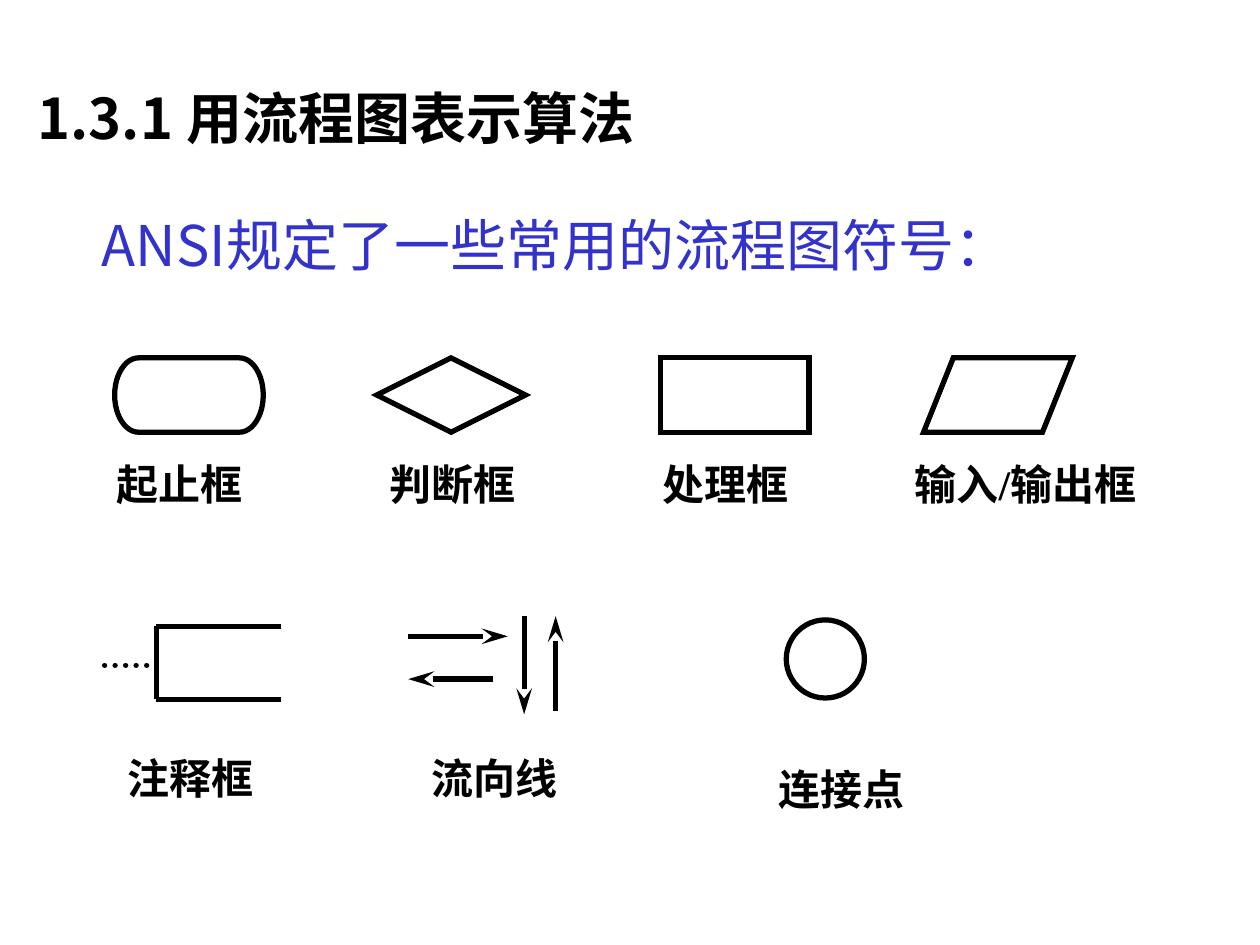
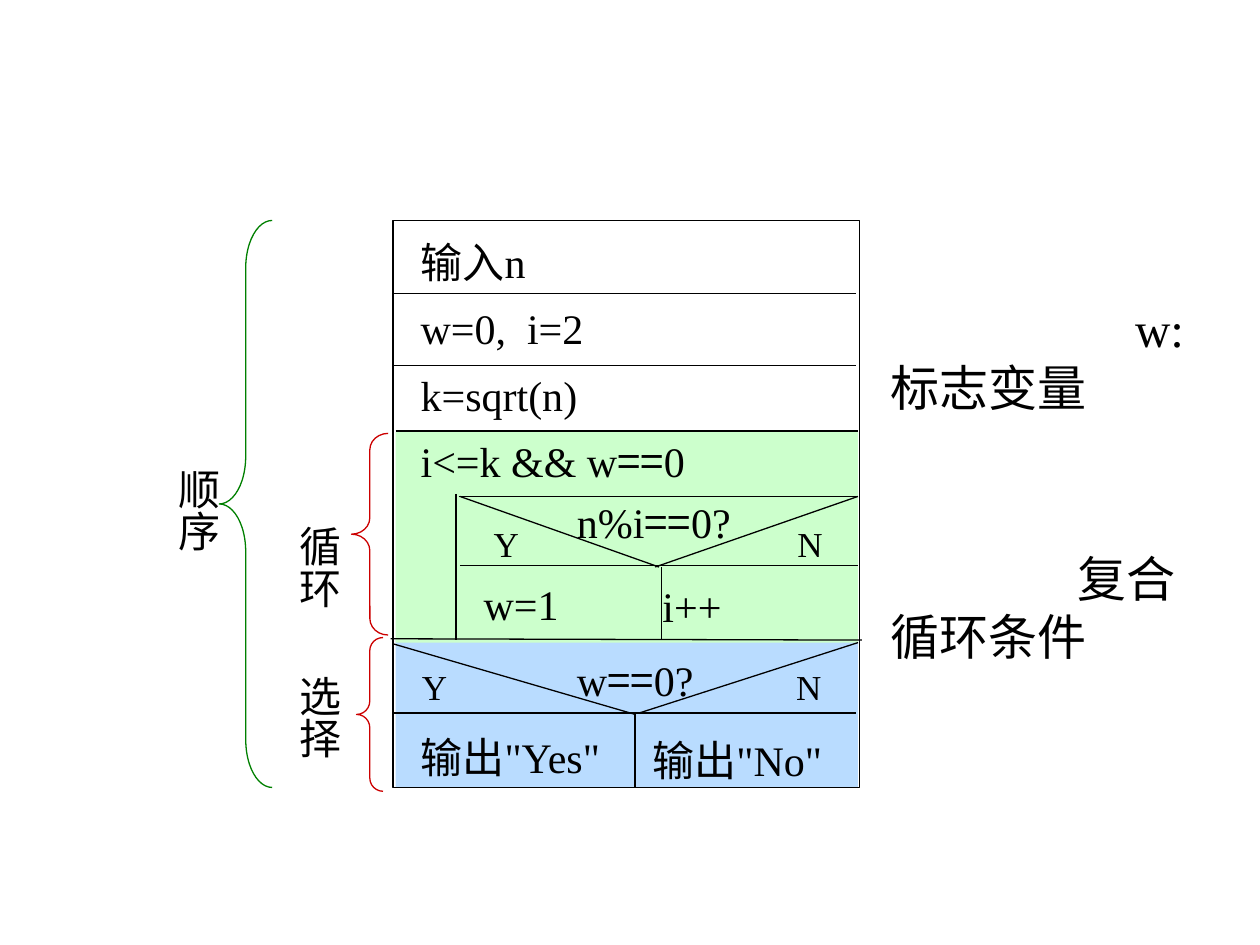
from lxml import etree
from pptx import Presentation
from pptx.dml.color import RGBColor
from pptx.enum.dml import MSO_LINE_DASH_STYLE as Dash
from pptx.enum.shapes import MSO_CONNECTOR as Link, MSO_SHAPE as Form
from pptx.enum.text import PP_ALIGN as Align
from pptx.oxml.ns import qn
from pptx.util import Inches, Pt

BLACK = RGBColor(0, 0, 0)
INDIGO = RGBColor(0x33, 0x33, 0xCC)
BLUE = RGBColor(0xB9, 0xDC, 0xFF)
MINT = RGBColor(0xCC, 0xFF, 0xCC)
RED = RGBColor(0xCC, 0, 0)
GREEN = RGBColor(0, 0x80, 0)
SANS, SERIF = "Noto Sans CJK SC", "Times New Roman"

deck = Presentation()
deck.slide_width, deck.slide_height = Inches(10), Inches(7.5)
blank = deck.slide_layouts[6]


def write(slide, box, *rows, size=24, font=SERIF, color=BLACK, bold=False,
          upright=False):
    """Add a text box; each row is (text, space before, first-line indent)."""
    frame = slide.shapes.add_textbox(*map(Inches, box)).text_frame
    frame.word_wrap = True
    if upright:
        frame._txBody.bodyPr.set("vert", "eaVert")
        frame.margin_left = frame.margin_right = Inches(0.05)
        frame.margin_top = frame.margin_bottom = Inches(0.1)
    for n, (text, gap, indent) in enumerate(rows):
        para = frame.paragraphs[0] if n == 0 else frame.add_paragraph()
        props = para._p.get_or_add_pPr()
        props.set("marL", "0")
        props.set("indent", str(Inches(indent)))
        para.space_before = Pt(gap)
        if upright:
            para.alignment = Align.CENTER
        # The double equals sign is always set in the sans face
        for part in text.replace("==", "|==|").split("|"):
            run = para.add_run()
            run.text = part
            face = run.font
            face.size, face.bold, face.color.rgb = Pt(size), bold, color
            face.name = SANS if part == "==" else font
            etree.SubElement(run._r.rPr, qn("a:ea"), typeface=SANS)


def draw(slide, ends, width=0.75, arrow=False):
    """Add a straight black line, with an arrowhead at its end if wanted."""
    line = slide.shapes.add_connector(Link.STRAIGHT, *map(Inches, ends))
    line.line.color.rgb, line.line.width = BLACK, Pt(width)
    if arrow:
        etree.SubElement(line.line._get_or_add_ln(), qn("a:tailEnd"),
                         type="stealth", len="lg")
    etree.SubElement(line._element.spPr, qn("a:effectLst"))
    return line


# Slide 1: flowchart symbols
page = deck.slides.add_slide(blank)
write(page, (0.2, 0.61, 7.95, 0.71), ("1.3.1 用流程图表示算法", 0, 0),
      size=32, font=SANS, bold=True)
write(page, (0.71, 1.62, 8.54, 0.71), ("ANSI规定了一些常用的流程图符号：", 0, 0),
      size=32, font=SANS, color=INDIGO)

# Outlined symbols with sharp corners
for form, x, y, w, h in [
    (Form.FLOWCHART_TERMINATOR, 0.91, 2.84, 1.18, 0.59),
    (Form.FLOWCHART_DECISION, 2.99, 2.84, 1.18, 0.59),
    (Form.FLOWCHART_PROCESS, 5.24, 2.84, 1.18, 0.59),
    (Form.FLOWCHART_DATA, 7.33, 2.84, 1.18, 0.59),
    (Form.FLOWCHART_CONNECTOR, 6.24, 4.92, 0.62, 0.62),
]:
    sign = page.shapes.add_shape(form, *map(Inches, (x, y, w, h)))
    sign.shadow.inherit = False
    sign.fill.background()
    sign.line.color.rgb, sign.line.width = BLACK, Pt(3)
    etree.SubElement(sign.line._get_or_add_ln(), qn("a:miter"), lim="800000")

# Comment bracket with its dotted lead
for ends in [(1.24, 4.97, 2.23, 4.97), (1.24, 5.55, 2.23, 5.55),
             (1.24, 4.97, 1.24, 5.55)]:
    draw(page, ends, 3)
lead = draw(page, (0.83, 5.28, 1.22, 5.28), 3)
lead.line.dash_style = Dash.ROUND_DOT
lead.line._get_or_add_ln().set("cap", "rnd")

# Flow arrows
for ends in [(3.24, 5.05, 4.03, 5.05), (4.16, 4.89, 4.16, 5.67),
             (3.91, 5.39, 3.24, 5.39), (4.41, 5.64, 4.41, 4.89)]:
    draw(page, ends, 3, arrow=True)

# Symbol names
for name, x, y, w, h in [
    ("起止框", 0.83, 3.59, 1.42, 0.5),
    ("判断框", 2.99, 3.59, 1.58, 0.5),
    ("处理框", 5.16, 3.59, 1.33, 0.5),
    ("输入/输出框", 7.16, 3.59, 2.08, 0.9),
    ("注释框", 0.91, 5.92, 1.42, 0.5),
    ("流向线", 3.33, 5.92, 1.5, 0.5),
    ("连接点", 6.08, 6.01, 1.92, 0.5),
]:
    write(page, (x, y, w, h), (name, 0, 0), bold=True)

# Slide 2: structured chart of the prime test
page = deck.slides.add_slide(blank)

# Select block, loop block and outer frame
for x, y, w, h, fill in [(3.14, 5.08, 3.67, 1.17, BLUE),
                         (3.14, 3.43, 3.67, 1.67, MINT),
                         (3.12, 1.75, 3.7, 4.5, None)]:
    block = page.shapes.add_shape(Form.RECTANGLE, *map(Inches, (x, y, w, h)))
    block.shadow.inherit = False
    if fill:
        block.fill.solid()
        block.fill.fore_color.rgb = fill
        block.line.fill.background()
    else:
        block.fill.background()
        block.line.color.rgb, block.line.width = BLACK, Pt(0.75)

# Row rules, then branch lines
for ends in [
    (3.12, 2.33, 6.79, 2.33), (3.12, 2.9, 6.79, 2.9), (3.14, 3.42, 6.81, 3.42),
    (3.64, 3.94, 6.81, 3.94), (3.65, 4.49, 6.81, 4.49), (3.1, 5.07, 6.84, 5.08),
    (3.12, 5.66, 6.79, 5.66),
    (3.65, 3.94, 5.23, 4.5), (5.2, 4.5, 6.81, 3.94), (3.12, 5.11, 5.04, 5.67),
    (5.07, 5.66, 6.81, 5.1), (5.04, 5.67, 5.04, 6.25), (3.62, 3.92, 3.62, 5.08),
    (5.25, 4.5, 5.25, 5.08),
]:
    draw(page, ends)

# Steps down the left, then the two right-hand cells
write(page, (3.24, 1.83, 3.5, 4.43),
      ("输入n", 0, 0),
      ("w=0,  i=2", 9, 0),
      ("k=sqrt(n)", 9, 0),
      ("i<=k && w==0", 9, 0),
      ("n%i==0?", 6, 1.24),
      ("w=1", 18, 0.5),
      ("w==0?", 15, 1.24),
      ('输出"Yes"', 15, 0))
write(page, (5.16, 4.56, 1.5, 0.5), ("i++", 0, 0))
write(page, (5.08, 5.78, 1.74, 0.5), ('输出"No"', 0, 0))

# Branch marks
for mark, x, y in [("Y", 3.82, 4.1), ("N", 6.23, 4.1),
                   ("Y", 3.25, 5.23), ("N", 6.22, 5.23)]:
    write(page, (x, y, 0.45, 0.44), (mark, 0, 0), size=20)

# Notes on the right
write(page, (6.97, 2.32, 2.68, 1.02), ("w: 标志变量", 0, 1.94), size=28)
write(page, (6.97, 4.3, 2.68, 1.02), ("复合循环条件", 0, 1.48), size=28)

# Braces with their upright names
for x, y, w, h, bend, color in [(2.83, 5.06, 0.21, 1.22, 0.5, RED),
                                (2.79, 3.44, 0.29, 1.6, 0.45, RED),
                                (1.74, 1.75, 0.42, 4.5, 0.9, GREEN)]:
    brace = page.shapes.add_shape(Form.LEFT_BRACE, *map(Inches, (x, y, w, h)))
    brace.adjustments[0] = bend
    brace.shadow.inherit = False
    brace.fill.background()
    brace.line.color.rgb, brace.line.width = color, Pt(0.75)
for name, x, y in [("顺序", 1.22, 3.62), ("循环", 2.18, 4.07), ("选择", 2.18, 5.26)]:
    write(page, (x, y, 0.6, 1.2), (name, 0, 0), upright=True)

deck.save("out.pptx")
